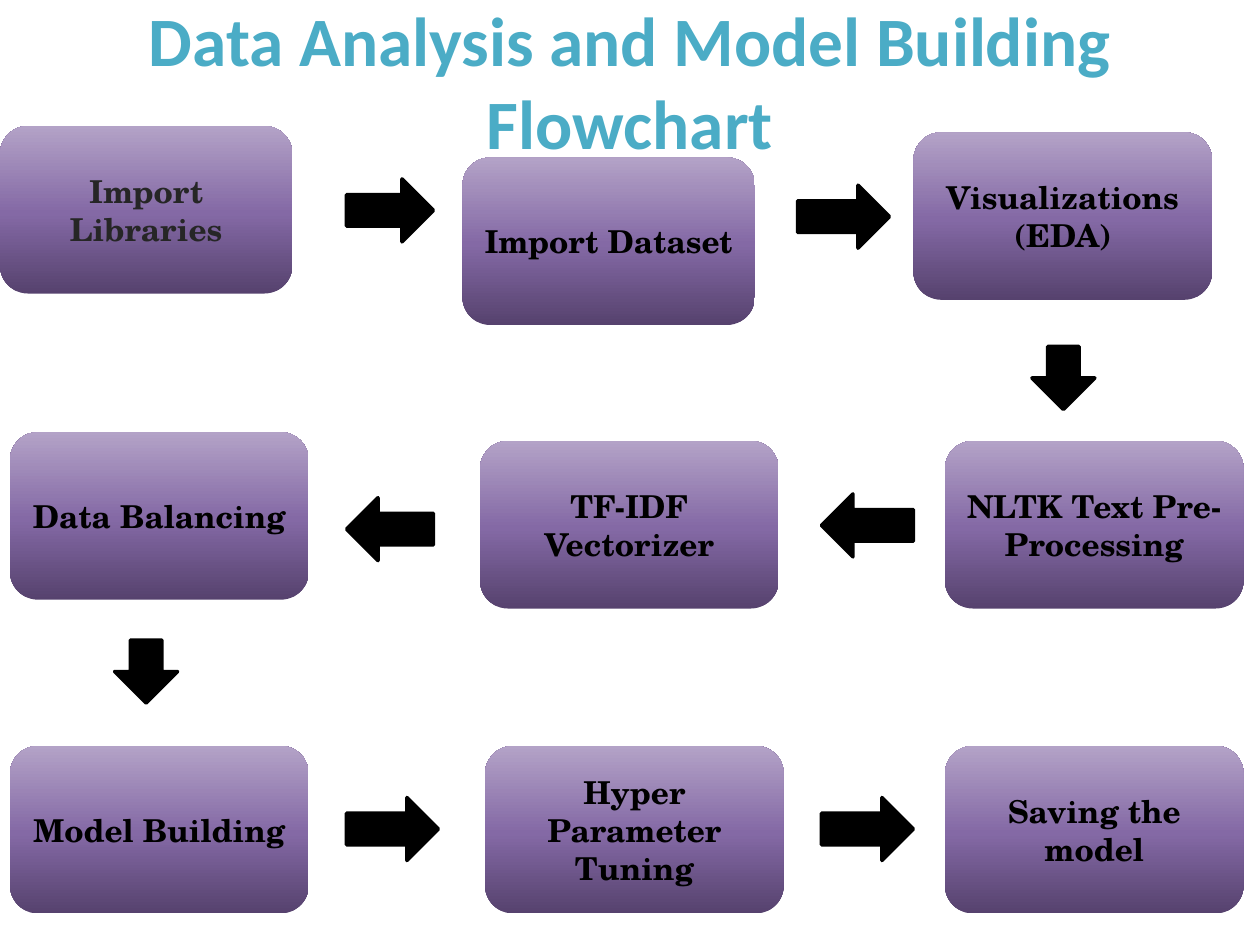
from copy import deepcopy
from dataclasses import dataclass

from pptx import Presentation
from pptx.dml.color import RGBColor
from pptx.enum import shapes, text
from pptx.oxml.ns import qn
from pptx.util import Inches, Pt


@dataclass(frozen=True)
class Theme:
    title: str = "4BACC6"
    ink: str = "000000"
    soft_ink: str = "262626"
    gradient: tuple = ((0, "56426E"), (0.48, "8469A5"), (1, "B3A2C7"))
    title_font: str = "Calibri"
    step_font: str = "TeX Gyre Schola"
    title_size: float = 39.6
    step_size: float = 18
    arrow_line: float = 2


@dataclass(frozen=True)
class Step:
    label: str
    left: float
    top: float
    width: float = 2.37
    color: str = Theme.ink


@dataclass(frozen=True)
class Arrow:
    kind: shapes.MSO_SHAPE
    left: float
    top: float
    width: float = 0.73


THEME = Theme()
STEP_HEIGHT = 1.33
ARROW_HEIGHT = 0.5
RIGHT = shapes.MSO_SHAPE.RIGHT_ARROW
LEFT = shapes.MSO_SHAPE.LEFT_ARROW
DOWN = shapes.MSO_SHAPE.DOWN_ARROW

STEPS = (
    Step("Import Libraries", 0, 1, 2.32, THEME.soft_ink),
    Step("Import Dataset", 3.67, 1.25, 2.32),
    Step("Visualizations\n(EDA)", 7.25, 1.05),
    Step("NLTK Text Pre-Processing", 7.5, 3.5),
    Step("TF-IDF Vectorizer", 3.81, 3.5),
    Step("Data Balancing", 0.08, 3.43),
    Step("Model Building", 0.08, 5.92),
    Step("Hyper Parameter Tuning", 3.85, 5.92),
    Step("Saving the model", 7.5, 5.92),
)
ARROWS = (
    Arrow(RIGHT, 2.75, 1.42, 0.69),
    Arrow(RIGHT, 6.33, 1.47),
    Arrow(DOWN, 8.19, 2.75, 0.5),
    Arrow(LEFT, 6.52, 3.92),
    Arrow(LEFT, 2.75, 3.95, 0.69),
    Arrow(DOWN, 0.91, 5.08, 0.5),
    Arrow(RIGHT, 2.75, 6.33),
    Arrow(RIGHT, 6.52, 6.33),
)


def write_text(shape, content: str, *, font: str, size: float, color: str) -> None:
    frame = shape.text_frame
    frame.text = content
    frame.word_wrap = True
    frame.auto_size = text.MSO_AUTO_SIZE.NONE
    frame.vertical_anchor = text.MSO_ANCHOR.MIDDLE
    for paragraph in frame.paragraphs:
        paragraph.alignment = text.PP_ALIGN.CENTER
        for run in paragraph.runs:
            run.font.name = font
            run.font.size = Pt(size)
            run.font.bold = True
            run.font.color.rgb = RGBColor.from_string(color)


def fill_gradient(shape) -> None:
    """Fill from the darkest theme stop at the bottom to the lightest at the top."""
    shape.fill.gradient()
    shape.fill.gradient_angle = 90
    stop_list = next(shape.element.spPr.iter(qn("a:gsLst")))
    stop_list.append(deepcopy(stop_list[0]))
    for stop, (position, color) in zip(shape.fill.gradient_stops, THEME.gradient):
        stop.position = position
        stop.color.rgb = RGBColor.from_string(color)


def draw_step(slide, step: Step) -> None:
    shape = slide.shapes.add_shape(
        shapes.MSO_SHAPE.FLOWCHART_ALTERNATE_PROCESS,
        Inches(step.left), Inches(step.top), Inches(step.width), Inches(STEP_HEIGHT),
    )
    shape.shadow.inherit = False
    shape.line.fill.background()
    fill_gradient(shape)
    write_text(shape, step.label, font=THEME.step_font, size=THEME.step_size,
               color=step.color)


def draw_arrow(slide, arrow: Arrow) -> None:
    shape = slide.shapes.add_shape(
        arrow.kind,
        Inches(arrow.left), Inches(arrow.top), Inches(arrow.width), Inches(ARROW_HEIGHT),
    )
    shape.shadow.inherit = False
    shape.fill.solid()
    shape.fill.fore_color.rgb = RGBColor.from_string(THEME.ink)
    shape.line.color.rgb = RGBColor.from_string(THEME.ink)
    shape.line.width = Pt(THEME.arrow_line)


def draw_title(slide) -> None:
    title = slide.shapes.title
    title.left, title.top = Inches(0.5), Inches(0.01)
    title.width, title.height = Inches(9), Inches(1.25)
    write_text(title, "Data Analysis and Model Building Flowchart",
               font=THEME.title_font, size=THEME.title_size, color=THEME.title)


def main() -> None:
    presentation = Presentation()
    presentation.slide_width, presentation.slide_height = Inches(10), Inches(7.5)
    slide = presentation.slides.add_slide(
        presentation.slide_layouts.get_by_name("Title Only"))
    draw_title(slide)
    for step in STEPS:
        draw_step(slide, step)
    for arrow in ARROWS:
        draw_arrow(slide, arrow)
    presentation.save("out.pptx")


if __name__ == "__main__":
    main()
